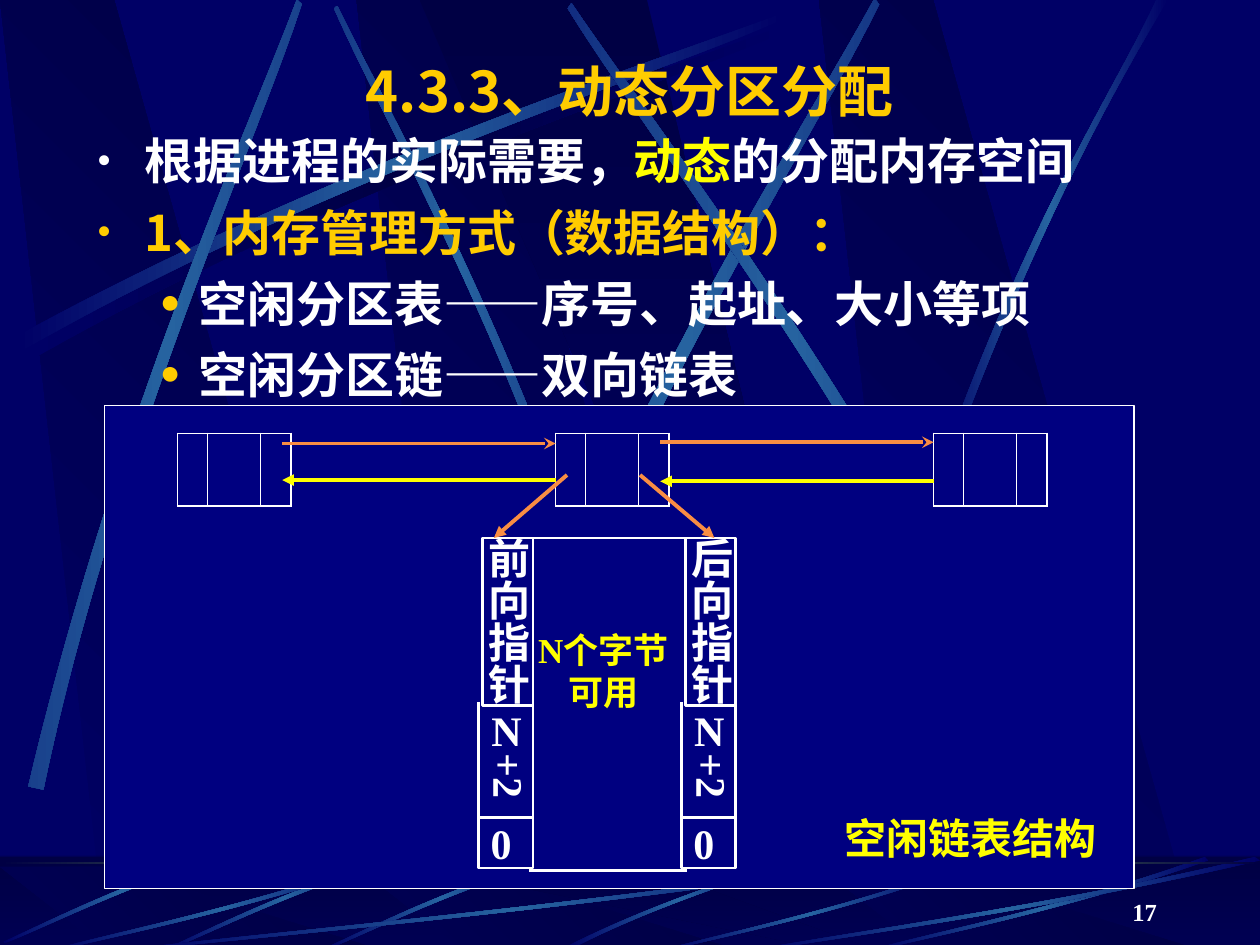
from lxml.etree import SubElement
from pptx import Presentation
from pptx.dml.color import RGBColor
from pptx.enum.shapes import MSO_CONNECTOR, MSO_SHAPE
from pptx.enum.text import MSO_ANCHOR, PP_ALIGN
from pptx.oxml.ns import qn
from pptx.util import Inches, Pt

NAVY = RGBColor(0x00, 0x00, 0x66)
DARK = RGBColor(0x00, 0x00, 0x44)
STEEL = RGBColor(0x26, 0x63, 0xA0)
LIME = RGBColor(0x9C, 0xE1, 0x57)
PANEL = RGBColor(0x00, 0x00, 0x80)
WHITE = RGBColor(0xFF, 0xFF, 0xFF)
GOLD = RGBColor(0xFF, 0xCC, 0x00)
YELLOW = RGBColor(0xFF, 0xFF, 0x00)
ORANGE = RGBColor(0xF9, 0x8D, 0x43)
SANS, SERIF = "Noto Sans CJK SC", "Times New Roman"

# Outlines in a unit box; a band is two cubic curves, there and back
BEAM = [(0.28, 1), (1, 1), (0.3, 0), (0, 0)]
SHAFT = [(0, 0), (0.9, 1), (1, 1), (0.5, 0)]
BAND = [(0, 0.96), (0.43, 0.43), (0.83, 0.15), (1, 0),
        (1, 0.02), (0.83, 0.19), (0.39, 0.5), (0.01, 1)]
WEDGE = [(0, 0.99), (0.4, 0.44), (0.79, 0.17), (0.95, 0),
         (1, 0), (0.52, 0.37), (0.16, 0.81), (0.03, 1)]


def add(parent, tag, **attrs):
    return SubElement(parent, qn(tag), attrs)


def blend(shape, colors, angle):
    shape.shadow.inherit = False
    shape.line.fill.background()
    shape.fill.gradient()
    shape.fill.gradient_angle = -angle % 360
    stops = next(shape._element.spPr.iter(qn("a:gsLst")))
    stops.getparent().set("rotWithShape", "0")
    for old in list(stops):
        stops.remove(old)
    for i, color in enumerate(colors):
        stop = add(stops, "a:gs", pos=str(100000 * i // (len(colors) - 1)))
        add(stop, "a:srgbClr", val=str(color))


def outline(slide, pts, box, colors, angle):
    x, y, w, h = box
    pts = [(Inches(x + w * u), Inches(y + h * v)) for u, v in pts]
    pen = slide.shapes.build_freeform(*pts[0], scale=1.0)
    pen.add_line_segments(pts[1:], close=True)
    shape = pen.convert_to_shape()
    blend(shape, colors, angle)
    return shape


def bend(shape):
    # Turn points 1-3 and 5-7 of the outline into cubic curves
    edges = list(shape._element.spPr.iter(qn("a:lnTo")))
    for trio in (edges[:3], edges[4:7]):
        cubic = add(trio[0].getparent(), "a:cubicBezTo")
        trio[0].addprevious(cubic)
        for edge in trio:
            cubic.append(edge[0])
            edge.getparent().remove(edge)


def band(slide, box, turn=0, flip="", form=BAND, mid=STEEL):
    pts = [(1 - u if "h" in flip else u, 1 - v if "v" in flip else v)
           for u, v in form]
    shape = outline(slide, pts, box, (NAVY, mid, NAVY), 0)
    bend(shape)
    shape.rotation = turn


def rect(slide, box, fill=None, line=None, width=0.75):
    shape = slide.shapes.add_shape(MSO_SHAPE.RECTANGLE, *map(Inches, box))
    shape.shadow.inherit = False
    for part, color in ((shape.fill, fill), (shape.line.fill, line)):
        if color is None:
            part.background()
        else:
            part.solid()
            part.fore_color.rgb = color
    if line is not None:
        shape.line.width = Pt(width)
    return shape


def line(slide, start, end, color=WHITE, width=1.5, head=None):
    link = slide.shapes.add_connector(
        MSO_CONNECTOR.STRAIGHT, *map(Inches, (*start, *end)))
    link.line.color.rgb = color
    link.line.width = Pt(width)
    if head:
        add(link.line._get_or_add_ln(), "a:tailEnd", type=head)
    add(link._element.spPr, "a:effectLst")


def write(para, text, size, color, font=SERIF):
    run = para.add_run()
    run.text = text
    run.font.size, run.font.bold, run.font.name = Pt(size), True, font
    run.font.color.rgb = color
    add(run._r.get_or_add_rPr(), "a:ea", typeface=SANS)


def fill_text(shape, lines, size, color, align, font=SERIF, pad=(0, 0, 0, 0),
              anchor=MSO_ANCHOR.TOP, wrap=False, upright=False):
    frame = shape.text_frame
    frame.word_wrap, frame.vertical_anchor = wrap, anchor
    (frame.margin_left, frame.margin_top,
     frame.margin_right, frame.margin_bottom) = map(Inches, pad)
    if upright:
        frame._txBody.bodyPr.set("vert", "eaVert")
    for i, text in enumerate(lines):
        para = frame.add_paragraph() if i else frame.paragraphs[0]
        para.alignment = align
        write(para, text, size, color, font)


def label(slide, box, *args, **kw):
    fill_text(slide.shapes.add_textbox(*map(Inches, box)), *args, **kw)


def beams(slide, top, height):
    for x in (2.83, 0, 6.5):
        outline(slide, BEAM, (x, top, 3.02, height), (NAVY, DARK), 315)
    outline(slide, SHAFT, (3.33, top, 3.61, height), (DARK, NAVY), 90)


def backdrop(slide):
    slide.background.fill.solid()
    slide.background.fill.fore_color.rgb = NAVY
    # Sky
    beams(slide, 0, 7.52)
    band(slide, (0.2, 0.18, 6.08, 2.67), mid=DARK)
    band(slide, (1.41, 1.35, 4.42, 1.75), 45, "h")
    band(slide, (0.14, 0.1, 6.08, 2.67))
    band(slide, (-1.71, 1.82, 6.08, 2.67), 311.7)
    band(slide, (2.31, 1.6, 6.24, 3.01), 321.6)
    band(slide, (3.23, 1.52, 6.08, 2.67), 34.8, "h")
    band(slide, (7.38, 0, 1.89, 3.97), form=WEDGE)
    # Floor
    blend(rect(slide, (0, 6.8, 10, 0.75)), (DARK, NAVY), 90)
    beams(slide, 6.88, 0.66)
    veil = rect(slide, (0, 6.79, 10, 0.75), DARK)
    tone = next(veil._element.spPr.iter(qn("a:srgbClr")))
    add(tone, "a:alpha", val="50000")
    band(slide, (4.48, 6.82, 1.8, 0.73))
    for x, y in ((2.58, 6.76), (1.33, 6.76), (0.05, 6.7)):
        band(slide, (x, y, 1.84, 0.83), 314.9, "h")
    for x, y, w in ((1, 6.8, 6.17), (0.42, 6.8, 2.67), (5.27, 6.89, 2.31),
                    (6.92, 6.8, 2.67), (6, 6.8, 4)):
        band(slide, (x, y, w, 7.55 - y), flip="hv")
    blend(rect(slide, (0, 6.84, 10, 0.02)), (DARK, LIME, DARK), 0)


def points(slide, box):
    frame = slide.shapes.add_textbox(*map(Inches, box)).text_frame
    frame.word_wrap = True
    rows = [
        (0, WHITE, [("根据进程的实际需要，", WHITE), ("动态", YELLOW),
                    ("的分配内存空间", WHITE)]),
        (0, GOLD, [("1、内存管理方式（数据结构）：", GOLD)]),
        (1, GOLD, [("空闲分区表——序号、起址、大小等项", WHITE)]),
        (1, GOLD, [("空闲分区链——双向链表", WHITE)]),
    ]
    for i, (level, dot, runs) in enumerate(rows):
        para = frame.add_paragraph() if i else frame.paragraphs[0]
        para.level = level
        left, hang, size, mark = ((0.38, 0.38, 85, "•"),
                                  (0.81, 0.31, 70, "●"))[level]
        props = para._p.get_or_add_pPr()
        props.set("marL", str(Inches(left)))
        props.set("indent", str(-Inches(hang)))
        add(add(props, "a:buClr"), "a:srgbClr", val=str(dot))
        add(props, "a:buSzPct", val=str(size * 1000))
        add(props, "a:buFont", typeface=SERIF)
        add(props, "a:buChar", char=mark)
        if i:
            para.space_before = Pt(7)
        for text, color in runs:
            write(para, text, 28, color, SANS)


def node(slide, x, y):
    cols = (0.18, 0.42, 0.23)
    grid = slide.shapes.add_table(
        1, 3, *map(Inches, (x, y, sum(cols), 0.47))).table
    grid.first_row = grid.horz_banding = False
    grid.rows[0].height = Inches(0.47)
    for i, width in enumerate(cols):
        grid.columns[i].width = Inches(width)
        cell = grid.cell(0, i)
        add(cell.text_frame.paragraphs[0]._p, "a:endParaRPr", sz="2800")
        props = cell._tc.get_or_add_tcPr()
        for side in "LRTB":
            inner = (side == "L" and i > 0) or (side == "R" and i < 2)
            edge = add(props, "a:ln" + side,
                       w=str(Pt(0.45 if inner else 1.08)))
            add(add(edge, "a:solidFill"), "a:srgbClr", val=str(WHITE))
        cell.fill.background()


def tag(slide, x, y, name):
    # Pointer, size and state fields of one end of a free block
    box = rect(slide, (x + 0.03, y, 0.4, 1.33), line=WHITE, width=1.5)
    fill_text(box, [name], 24, WHITE, PP_ALIGN.LEFT, upright=True)
    label(slide, (x + 0.05, y + 1.71, 0.4, 0.36), ["+2"], 24, WHITE,
          PP_ALIGN.RIGHT, upright=True)
    label(slide, (x + 0.1, y + 1.32, 0.24, 0.4), ["N"], 24, WHITE,
          PP_ALIGN.RIGHT)
    box = rect(slide, (x, y + 2.22, 0.43, 0.4), line=WHITE, width=1.5)
    fill_text(box, ["0"], 24, WHITE, PP_ALIGN.RIGHT, pad=(0, 0, 0.17, 0),
              wrap=True)
    for dx, dy in ((0, 1.3), (0.43, 1.32)):
        line(slide, (x + dx, y + dy), (x + dx, y + dy + 0.92))


def diagram(slide, box):
    x, y, w, h = box
    pad = (0.1, 0.05, 0.1, 0.05)
    rect(slide, box, PANEL, WHITE)
    # Linked nodes
    for i in range(3):
        node(slide, x + 0.58 + 3 * i, y + 0.22)
    for i in range(2):
        a, b = x + 1.41 + 3 * i, x + 3.58 + 3 * i
        line(slide, (b, y + 0.59 + 0.01 * i), (a, y + 0.59 + 0.01 * i),
             YELLOW, 2.25, "triangle")
        line(slide, (a, y + 0.3 - 0.01 * i), (b, y + 0.3 - 0.01 * i),
             ORANGE, 2.25, "stealth")
    # Enlarged block
    top = y + 1.05
    tag(slide, x + 2.97, top, "前向指针")
    tag(slide, x + 4.58, top, "后向指针")
    for dy in (0, 2.64):
        line(slide, (x + 3.37, top + dy), (x + 4.62, top + dy))
    label(slide, (x + 3.31, y + 1.72, 1.3, 0.77), ["N个字节", "可用"], 20,
          YELLOW, PP_ALIGN.CENTER, pad=pad)
    for a, b in ((3.67, 3.09), (4.25, 4.84)):
        line(slide, (x + a, y + 0.55), (x + b, top), ORANGE, 2.25, "triangle")
    label(slide, (x + w - 2.4, y + h - 0.65, 2.2, 0.5), ["空闲链表结构"], 24,
          YELLOW, PP_ALIGN.RIGHT, pad=pad)


def main():
    deck = Presentation()
    deck.slide_width, deck.slide_height = Inches(10), Inches(7.5)
    slide = deck.slides.add_slide(deck.slide_layouts[6])
    backdrop(slide)
    diagram(slide, (0.83, 3.22, 8.17, 3.83))
    # Heading, bullets and page number
    label(slide, (0.75, 0.4, 8.5, 0.63), ["4.3.3、动态分区分配"], 32, GOLD,
          PP_ALIGN.CENTER, SANS, anchor=MSO_ANCHOR.MIDDLE, wrap=True)
    points(slide, (0.67, 0.99, 8.83, 2.33))
    label(slide, (7.2, 6.9, 2.08, 0.5), ["17"], 14, WHITE, PP_ALIGN.RIGHT,
          pad=(0.1, 0.05, 0.1, 0.05), anchor=MSO_ANCHOR.BOTTOM, wrap=True)
    deck.save("out.pptx")


if __name__ == "__main__":
    main()
